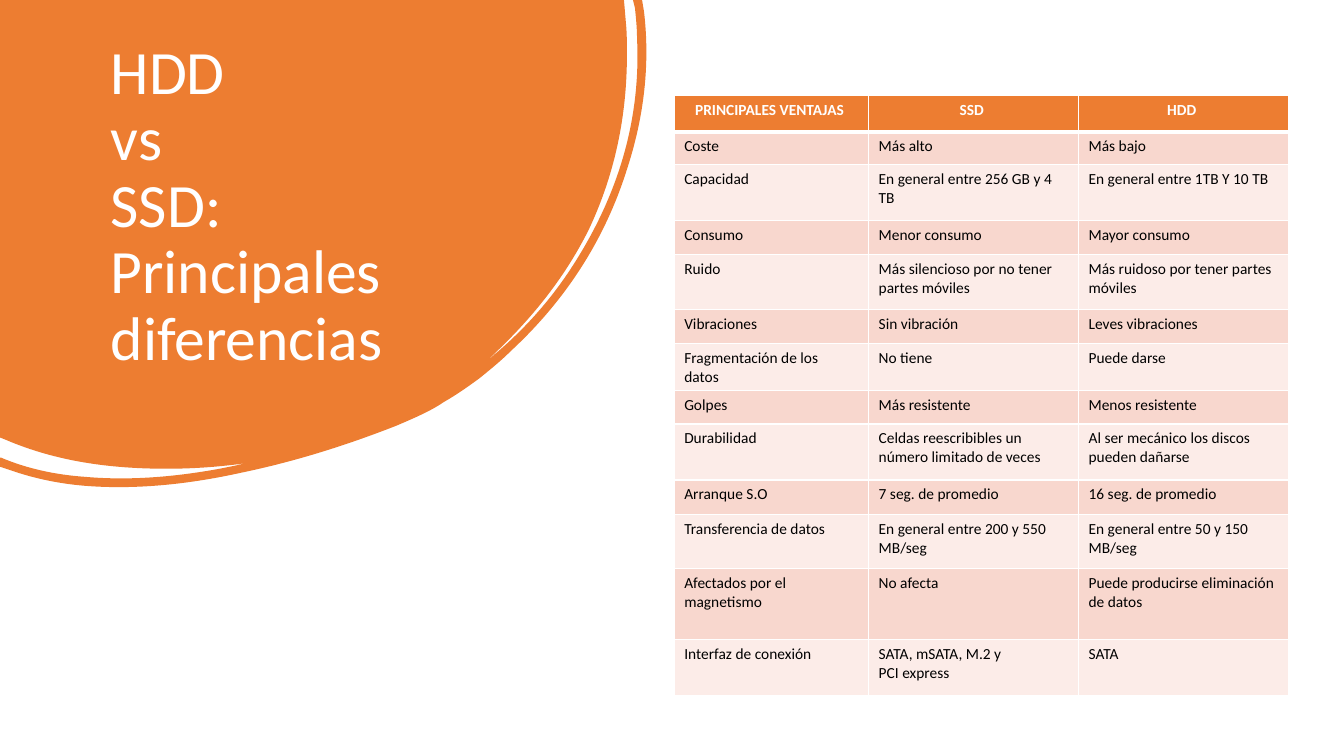
from math import cos, radians, sin
from typing import NamedTuple

from lxml.etree import SubElement
from pptx import Presentation
from pptx.dml.color import RGBColor
from pptx.enum.text import MSO_ANCHOR as Anchor, PP_ALIGN as Align
from pptx.oxml.ns import qn
from pptx.util import Cm, Pt

FONT = "Calibri"
WHITE, BLACK, ORANGE = "FFFFFF", "000000", "ED7D31"
BANDS = "F8D7CE", "FCECE8"
HARD = chr(160)  # no-break space, typed as ~ in the table text
INCH = 2.54


class Row(NamedTuple):
    high: float
    texts: tuple[str, str, str]


class Frame(NamedTuple):
    left: float
    top: float
    width: float
    height: float
    turn: float


WIDTHS = 4.9, 5.29, 5.29
ROWS = [
    Row(0.91, ("PRINCIPALES VENTAJAS", "SSD", "HDD")),
    Row(0.83, ("Coste", "Más alto", "Más bajo")),
    Row(1.41, ("Capacidad", "En general entre 256 GB y 4 TB",
               "En general entre 1TB Y 10 TB")),
    Row(0.86, ("Consumo", "Menor consumo", "Mayor consumo")),
    Row(1.38, ("Ruido", "Más silencioso por no tener partes móviles",
               "Más ruidoso por tener partes móviles")),
    Row(0.86, ("Vibraciones", "Sin vibración", "Leves vibraciones")),
    Row(0.86, ("Fragmentación de los datos", "No tiene", "Puede darse")),
    Row(0.84, ("Golpes", "Más resistente", "Menos resistente")),
    Row(1.41, ("Durabilidad",
               "Celdas~reescribibles~un número limitado de veces",
               "Al ser mecánico los discos pueden dañarse")),
    Row(0.86, ("Arranque S.O", "7~seg. de promedio", "16~seg. de promedio")),
    Row(1.38, ("Transferencia de datos", "En general entre 200 y 550 MB/seg",
               "En general entre 50 y 150 MB/seg")),
    Row(1.78, ("Afectados por el magnetismo", "No afecta",
               "Puede producirse eliminación de datos")),
    Row(1.41, ("Interfaz de conexión", "SATA,~mSATA, M.2 y PCI~express",
               "SATA")),
]

# Blob outline on the slide, in inches: two numbers are a corner, six a curve.
BLOB = [
    (0, 0), (6.19, 0), (6.21, 0.23),
    (6.22, 0.33, 6.22, 0.44, 6.22, 0.54),
    (6.22, 1.15, 6.1, 1.73, 5.84, 2.28),
    (5.59, 2.78, 5.25, 3.19, 4.85, 3.56),
    (4.86, 3.56, 4.88, 3.54, 4.89, 3.53),
    (5.19, 3.28, 5.45, 2.99, 5.66, 2.67),
    (6.12, 1.97, 6.36, 1.21, 6.32, 0.38),
    (6.32, 0.28, 6.31, 0.18, 6.3, 0.08),
    (6.28, 0), (6.37, 0), (6.39, 0.12),
    (6.45, 0.64, 6.39, 1.16, 6.22, 1.68),
    (6, 2.38, 5.61, 2.98, 5.07, 3.48),
    (4.97, 3.58, 4.87, 3.66, 4.76, 3.75),
    (4.65, 3.83, 4.54, 3.91, 4.4, 3.99),
    (4.27, 4.08, 4.1, 4.15, 3.94, 4.22),
    (3.43, 4.42, 2.92, 4.58, 2.39, 4.69),
    (1.89, 4.8, 1.37, 4.86, 0.85, 4.82),
    (0.6, 4.8, 0.35, 4.75, 0.12, 4.67),
    (0, 4.63), (0, 4.54), (0.01, 4.54),
    (0.27, 4.65, 0.55, 4.71, 0.84, 4.73),
    (1.29, 4.77, 1.74, 4.73, 2.18, 4.65),
    (2.23, 4.64, 2.28, 4.63, 2.33, 4.62),
    (2.37, 4.61, 2.42, 4.6, 2.47, 4.59),
    (2.2, 4.63, 1.93, 4.65, 1.65, 4.65),
    (1.1, 4.65, 0.56, 4.58, 0.05, 4.36),
    (0, 4.34),
]
BOX = Frame(-2.95, -3.07, 19.94, 14.53, 148.1)


def paint(target, color: str) -> None:
    """Give a fill or a font a solid colour."""
    if hasattr(target, "solid"):
        target.solid()
        target = target.fore_color
    else:
        target = target.color
    target.rgb = RGBColor.from_string(color)


def style(frame, size: float, color: str, bold: bool = False) -> None:
    for para in frame.paragraphs:
        for run in para.runs:
            run.font.name, run.font.size, run.font.bold = FONT, Pt(size), bold
            paint(run.font, color)


def unturn(x: float, y: float, box: Frame) -> tuple[float, float]:
    """Map a slide point in cm to a point inside the turned frame."""
    half, mid = box.width / 2, box.height / 2
    dx, dy = x - box.left - half, y - box.top - mid
    c, s = cos(radians(box.turn)), sin(radians(box.turn))
    return half + dx * c + dy * s, mid - dx * s + dy * c


def trace(track, outline: list[tuple], box: Frame) -> None:
    """Write corners and curves as the drawing steps of a freeform."""
    for node in list(track):
        track.remove(node)
    for i, part in enumerate(outline):
        tag = "moveTo" if i == 0 else "lnTo" if len(part) == 2 else "cubicBezTo"
        step = SubElement(track, qn(f"a:{tag}"))
        for x, y in zip(part[::2], part[1::2]):
            px, py = unturn(x * INCH, y * INCH, box)
            SubElement(step, qn("a:pt"), x=str(Cm(px)), y=str(Cm(py)))
    SubElement(track, qn("a:close"))


def draw_blob(shapes) -> None:
    wide, high = Cm(BOX.width), Cm(BOX.height)
    pen = shapes.build_freeform(0, 0)
    pen.add_line_segments([(wide, 0), (wide, high), (0, high)])
    blob = pen.convert_to_shape(Cm(BOX.left), Cm(BOX.top))
    trace(blob._element.find(f".//{qn('a:path')}"), BLOB, BOX)
    blob.rotation = BOX.turn
    blob.shadow.inherit = False
    paint(blob.fill, ORANGE)
    blob.line.fill.background()


def draw_title(shapes) -> None:
    frame = shapes.add_textbox(Cm(2.54), Cm(0.91), Cm(10.13), Cm(10.92)).text_frame
    frame.word_wrap = True
    frame.vertical_anchor = Anchor.TOP
    para = frame.paragraphs[0]
    para.text = "HDD \vvs \vSSD:\vPrincipales diferencias"
    para.line_spacing = 0.9
    style(frame, 44, WHITE)


def edge(cell, top: float, bottom: float) -> None:
    """Draw white borders; top and bottom are widths in points."""
    props = cell._tc.get_or_add_tcPr()
    for side, width in zip("LRTB", (1, 1, top, bottom)):
        line = SubElement(props, qn(f"a:ln{side}"), w=str(Pt(width)))
        fill = SubElement(line, qn("a:solidFill"))
        SubElement(fill, qn("a:srgbClr"), val=WHITE)


def draw_table(shapes) -> None:
    table = shapes.add_table(
        len(ROWS), len(WIDTHS), Cm(16.99), Cm(2.41),
        Cm(sum(WIDTHS)), Cm(sum(row.high for row in ROWS))).table
    for col, width in zip(table.columns, WIDTHS):
        col.width = Cm(width)
    for r, row in enumerate(ROWS):
        table.rows[r].height = Cm(row.high)
        head = r == 0
        for cell, text in zip(table.rows[r].cells, row.texts):
            edge(cell, 3 if r == 1 else 1, 3 if head else 1)
            paint(cell.fill, ORANGE if head else BANDS[(r - 1) % 2])
            frame = cell.text_frame
            frame.text = f"{text}~".replace("~", HARD)
            if head:
                frame.paragraphs[0].alignment = Align.CENTER
            style(frame, 11, WHITE if head else BLACK, head)


def main() -> None:
    deck = Presentation()
    deck.slide_width, deck.slide_height = Cm(33.87), Cm(19.05)
    shapes = deck.slides.add_slide(deck.slide_layouts[6]).shapes
    draw_blob(shapes)
    draw_title(shapes)
    draw_table(shapes)
    deck.save("out.pptx")


if __name__ == "__main__":
    main()
